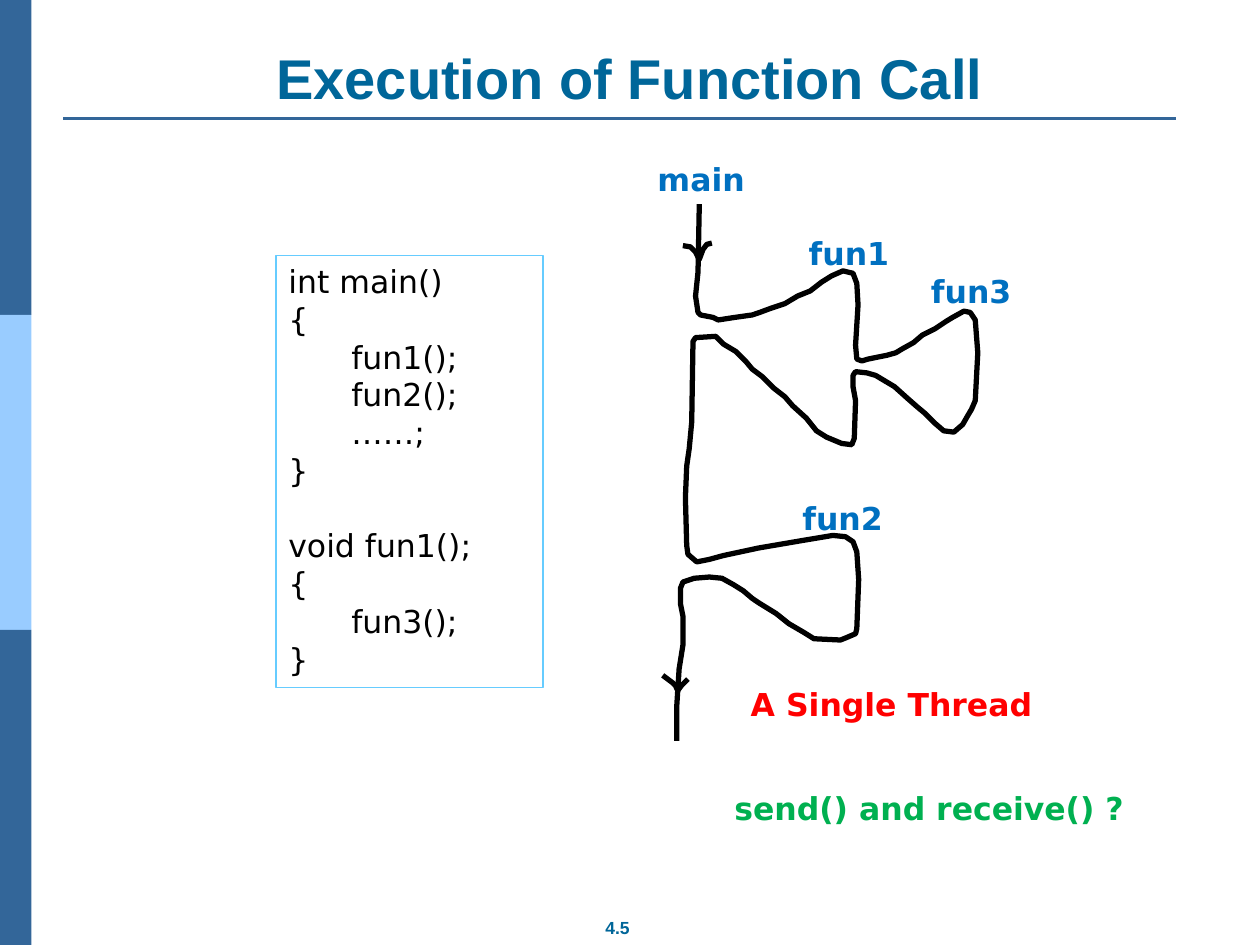
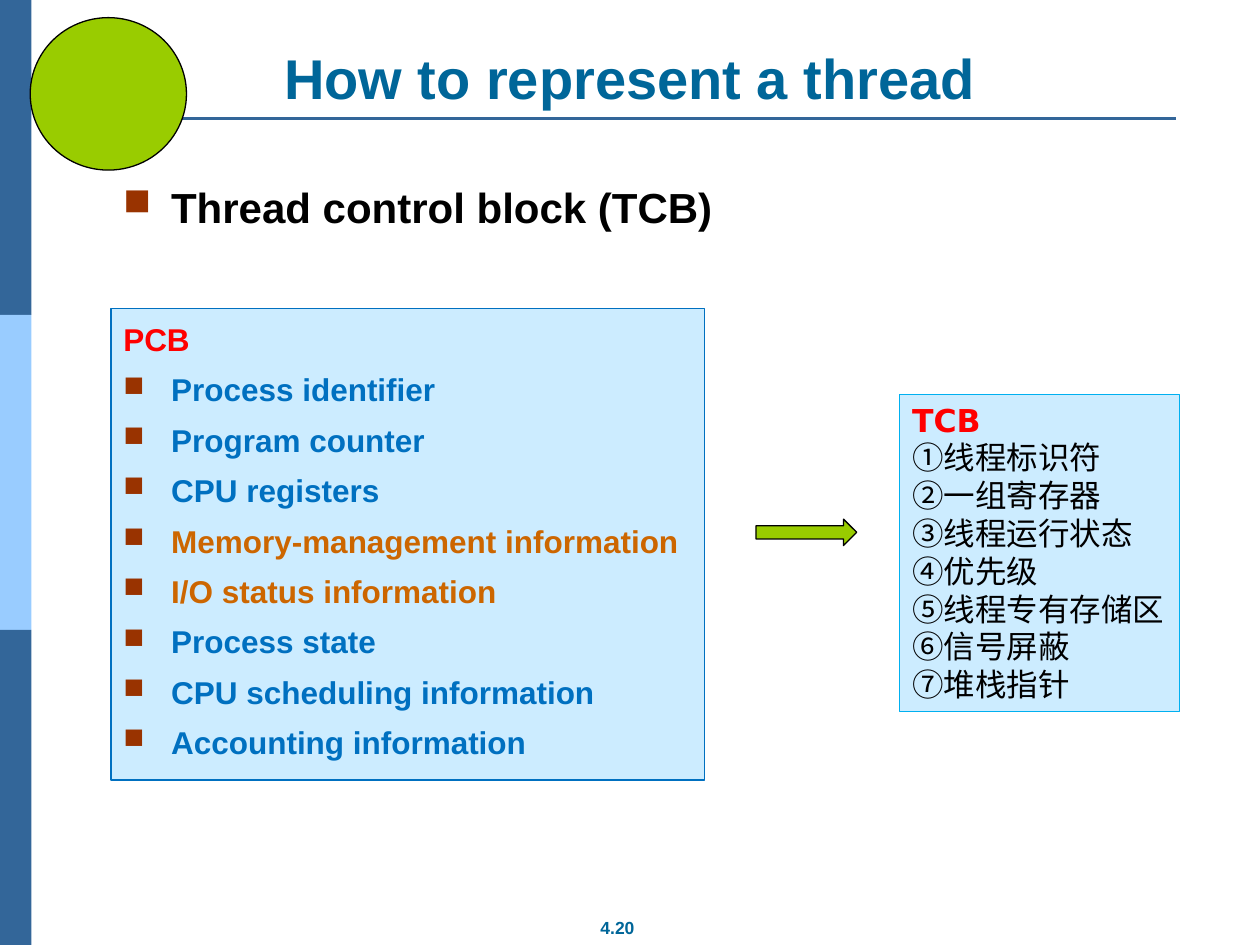
from collections import namedtuple

from lxml import etree
from pptx import Presentation
from pptx import util as u
from pptx.dml.color import RGBColor
from pptx.enum import shapes, text
from pptx.oxml.ns import qn

CELL = u.Inches(0.25)  # the slide is a grid of 40 columns by 30 rows
COLUMNS, ROWS = 40, 30

NAVY, SKY, TEAL = "336699", "99CCFF", "006699"
BLUE, RED, GREEN, ORANGE = "0070C0", "FF0000", "00B050", "CC6600"
BLACK, LIME, PALE, RUST = "000000", "99CC00", "CCECFF", "993300"
SANS, CODE = "Arial", "DejaVu Sans"

# Columns and rows inside the call diagram
THREAD = [
    # main enters fun1
    (2.2, 1.68), (2.16, 3.84), (2.08, 4.6), (2.16, 5.12), (2.24, 5.2),
    (2.64, 5.28), (2.8, 5.36), (3.32, 5.28), (3.88, 5.2), (4.12, 5.12),
    (4.44, 5), (4.92, 4.84), (5.32, 4.6), (5.72, 4.44), (6.08, 4.16),
    (6.4, 3.96), (6.76, 3.8), (7.08, 3.88), (7.2, 4.2), (7.24, 4.88),
    (7.16, 6.16), (7.2, 6.6), (7.36, 6.66),
    # fun1 enters fun3
    (7.56, 6.6), (8.16, 6.48), (8.44, 6.4), (8.64, 6.28), (9, 6.08),
    (9.28, 5.84), (9.68, 5.64), (10.04, 5.4), (10.24, 5.28), (10.6, 5.08),
    (10.8, 5.12), (10.96, 5.36), (11.04, 6.4), (10.96, 7.92), (10.84, 8.2),
    (10.72, 8.4), (10.56, 8.68), (10.28, 8.92), (9.96, 8.88), (9.68, 8.64),
    (9.36, 8.32), (9.12, 8.12), (8.8, 7.84), (8.4, 7.48), (8, 7.24),
    (7.8, 7.12), (7.52, 7.04), (7.16, 7),
    # fun1 returns to main
    (7.08, 7.12), (7.08, 7.48), (7.16, 7.92), (7.12, 9.12), (7.04, 9.32),
    (6.72, 9.28), (6.24, 9.08), (5.92, 8.88), (5.6, 8.48), (5.16, 8.08),
    (4.92, 7.8), (4.56, 7.52), (4.2, 7.16), (3.88, 6.92), (3.68, 6.68),
    (3.36, 6.36), (2.96, 6.12), (2.72, 5.88), (2.08, 5.92), (2, 6.04),
    (1.96, 8.6), (1.88, 9.44), (1.8, 10), (1.76, 11), (1.8, 12.52),
    # main enters fun2
    (1.84, 12.8), (2.12, 13.04), (2.52, 12.96), (2.96, 12.84), (4.08, 12.6),
    (5.48, 12.36), (6.44, 12.2), (6.84, 12.24), (7.08, 12.4), (7.2, 12.72),
    (7.26, 13.6), (7.2, 15.16), (7.16, 15.32), (6.88, 15.44), (6.68, 15.52),
    # fun2 returns and main ends
    (5.84, 15.48), (5.52, 15.28), (5.04, 15), (4.64, 14.68), (4.12, 14.36),
    (3.88, 14.2), (3.6, 13.96), (3.28, 13.76), (2.92, 13.56), (2.52, 13.52),
    (2.04, 13.56), (1.68, 13.68), (1.6, 13.88), (1.6, 14.36), (1.68, 14.76),
    (1.68, 15.68), (1.56, 16.44), (1.48, 17.68), (1.48, 18.72),
]
START_HEAD = [(1.68, 3), (1.92, 3.04), (2.08, 3.2), (2.2, 3.44),
              (2.32, 3.12), (2.44, 2.96), (2.6, 2.92)]
END_HEAD = [(1.04, 16.64), (1.36, 16.88), (1.44, 16.96), (1.52, 17.12),
            (1.64, 16.96), (1.76, 16.84), (1.84, 16.76)]


class Box(namedtuple("Box", "left top width height")):
    """A region in columns and rows."""

    def inner(self, left, top, width, height):
        return Box(self.left + left, self.top + top, width, height)

    def emu(self):
        return [round(value * CELL) for value in self]


def rgb(value):
    return RGBColor.from_string(value)


def paint(shape, fill=None, line=None, width=0.75):
    shape.shadow.inherit = False
    if fill:
        shape.fill.solid()
        shape.fill.fore_color.rgb = rgb(fill)
    else:
        shape.fill.background()
    if line:
        shape.line.color.rgb = rgb(line)
        shape.line.width = u.Pt(width)
    else:
        shape.line.fill.background()


def add_shape(page, kind, box, fill=None, line=None):
    shape = page.shapes.add_shape(kind, *box.emu())
    paint(shape, fill, line)
    return shape


def add_bullet(para):
    properties = para._p.get_or_add_pPr()
    color = etree.SubElement(properties, qn("a:buClr"))
    etree.SubElement(color, qn("a:srgbClr"), val=RUST)
    etree.SubElement(properties, qn("a:buSzPct"), val="90000")
    etree.SubElement(properties, qn("a:buChar"), char="■")
    properties.set("marL", str(u.Inches(0.38)))
    properties.set("indent", str(-u.Inches(0.38)))


def write(shape, lines, size, font, bold=False, bullets=False,
          align=text.PP_ALIGN.LEFT, anchor=text.MSO_ANCHOR.TOP):
    """Fill a shape with (words, colour) lines and return its paragraphs."""
    frame = shape.text_frame
    frame.word_wrap = True
    frame.vertical_anchor = anchor
    if align == text.PP_ALIGN.LEFT:
        frame.margin_right = 0
    frame.text = "\n".join(words for words, _ in lines)
    for para, (_, color) in zip(frame.paragraphs, lines):
        para.alignment = align
        if bullets:
            add_bullet(para)
        for span in para.runs:
            span.font.size = u.Pt(size)
            span.font.name = font
            span.font.bold = bold
            span.font.color.rgb = rgb(color)
    return frame.paragraphs


def add_text(page, box, words, color, size, font, **style):
    shape = page.shapes.add_textbox(*box.emu())
    return write(shape, [(words, color)], size, font, bold=True, **style)


def add_page(deck, title, number):
    """Add a slide with the side bands, title, rule and page number."""
    page = deck.slides.add_slide(deck.slide_layouts[6])
    band = ROWS / 3
    for index, color in enumerate((NAVY, SKY, NAVY)):
        add_shape(page, shapes.MSO_SHAPE.RECTANGLE,
                  Box(0, index * band, 1, band), color)
    left, level, right = (round(n * CELL) for n in (2, 3.76, 37.32))
    rule = page.shapes.add_connector(
        shapes.MSO_CONNECTOR.STRAIGHT, left, level, right, level)
    rule.line.color.rgb = rgb(NAVY)
    rule.line.width = u.Pt(1.5)
    etree.SubElement(rule._element.spPr, qn("a:effectLst"))
    center = text.PP_ALIGN.CENTER
    add_text(page, Box(2, 1.2, 36, 2.52), title, TEAL, 32, SANS,
             align=center, anchor=text.MSO_ANCHOR.BOTTOM)
    add_text(page, Box(18.1, 28.92, 3, 1.08), number, TEAL, 10, SANS,
             align=center)
    return page


def add_stroke(page, box, points):
    corners = [box.inner(x, y, 0, 0).emu()[:2] for x, y in points]
    builder = page.shapes.build_freeform(*corners[0], scale=1.0)
    builder.add_line_segments(corners[1:], close=False)
    paint(builder.convert_to_shape(), line=BLACK, width=3)


def add_code(page, box):
    panel = add_shape(page, shapes.MSO_SHAPE.RECTANGLE, box, line="66CCFF")
    code = ["int main()", "{", "\tfun1();", "\tfun2();", "\t……;", "}",
            "void fun1();", "{", "\tfun3();", "}"]
    paras = write(panel, [(line, BLACK) for line in code], 18, CODE)
    paras[code.index("void fun1();")].space_before = u.Pt(21.5)


def add_call_diagram(page, box):
    for points in (THREAD, START_HEAD, END_HEAD):
        add_stroke(page, box, points)
    labels = [
        ("main", BLUE, 0.48, 0.08, 4),
        ("fun1", BLUE, 5.28, 2.44, 4),
        ("fun3", BLUE, 9.16, 3.64, 4),
        ("fun2", BLUE, 5.08, 10.84, 4),
        ("A Single Thread", RED, 3.44, 16.76, 11),
        ("send() and receive() ?", GREEN, 2.92, 20.04, 14),
    ]
    for words, color, left, top, width in labels:
        add_text(page, box.inner(left, top, width, 1.6), words, color, 18, CODE)


def add_process_block(page, box):
    panel = add_shape(page, shapes.MSO_SHAPE.RECTANGLE, box, PALE, BLUE)
    panel.text_frame.margin_top = u.Inches(0.09)
    fields = [("Process identifier", BLUE), ("Program counter", BLUE),
              ("CPU registers", BLUE),
              ("Memory-management information", ORANGE),
              ("I/O status information", ORANGE), ("Process state", BLUE),
              ("CPU scheduling information", BLUE),
              ("Accounting information", BLUE)]
    paras = write(panel, [("PCB", RED)] + fields, 18, SANS, bold=True)
    for para in paras[1:]:
        add_bullet(para)
        para.space_before = u.Pt(7.2)


def add_thread_block(page, box):
    panel = add_shape(page, shapes.MSO_SHAPE.RECTANGLE, box, PALE, "00B0F0")
    fields = ["①线程标识符", "②一组寄存器", "③线程运行状态", "④优先级",
              "⑤线程专有存储区", "⑥信号屏蔽", "⑦堆栈指针"]
    lines = [("TCB", RED)] + [(field, BLACK) for field in fields]
    heading = write(panel, lines, 18, CODE)[0]
    heading.runs[0].font.bold = True


def build_function_call(deck):
    page = add_page(deck, "Execution of Function Call", "4.5")
    add_code(page, Box(8.76, 8.12, 8.48, 13.72))
    add_call_diagram(page, Box(20, 4.8, 18, 22))


def build_thread_representation(deck):
    page = add_page(deck, "How to represent a thread", "4.20")
    add_text(page, Box(3.52, 5.56, 36, 2.24), "Thread control block (TCB)",
             BLACK, 24, SANS, bullets=True)
    add_thread_block(page, Box(28.56, 12.52, 8.88, 10.08))
    add_process_block(page, Box(3.52, 9.8, 18.84, 14.96))
    add_shape(page, shapes.MSO_SHAPE.RIGHT_ARROW,
              Box(24, 16.48, 3.2, 0.84), LIME, BLACK)
    add_shape(page, shapes.MSO_SHAPE.OVAL,
              Box(0.96, 0.56, 4.96, 4.84), LIME, BLACK)


def main():
    deck = Presentation()
    deck.slide_width, deck.slide_height = COLUMNS * CELL, ROWS * CELL
    build_function_call(deck)
    build_thread_representation(deck)
    deck.save("out.pptx")


if __name__ == "__main__":
    main()
